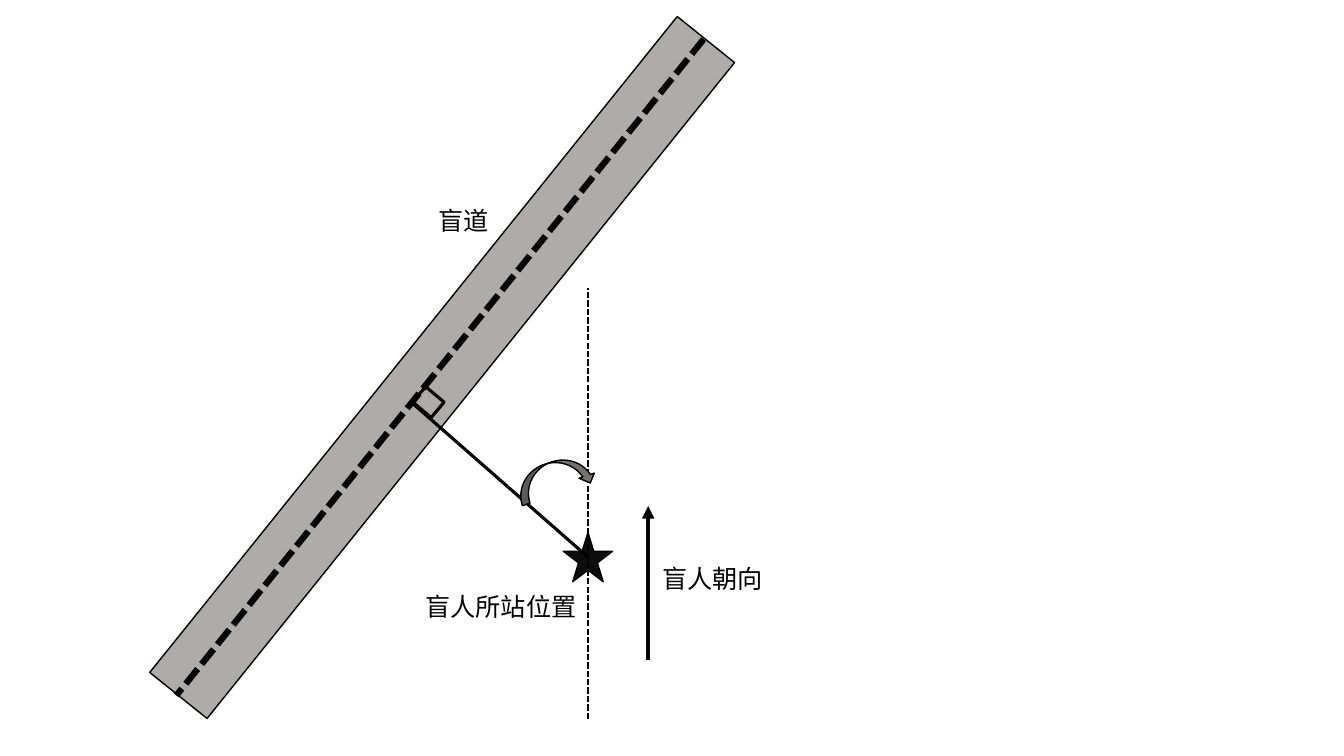
"""Build a slide showing how a blind walker's heading relates to a tactile path."""
from pptx import Presentation
from pptx.dml.color import RGBColor
from pptx.enum.dml import MSO_LINE
from pptx.enum.shapes import MSO_CONNECTOR, MSO_SHAPE
from pptx.enum.text import MSO_AUTO_SIZE as AutoSize, PP_ALIGN
from pptx.oxml.ns import qn
from pptx.util import Inches, Pt
from lxml.etree import SubElement

COLUMNS, ROWS = 40, 22.5
FONT = "Noto Sans CJK SC"
COLORS = {"ink": "000000", "path": "AFABAB", "star": "0D0D0D", "turn": "767171"}

STAND = (17.5, 16.58)
FOOT = (12.24, 11.97)
GROUND = [
    dict(kind=MSO_SHAPE.RECTANGLE, center=(13.16, 10.94), size=(2.19, 25.05),
         turn=38.8, fill="path"),
    dict(kind=MSO_SHAPE.STAR_5_POINT, center=STAND, size=(1.47, 1.47), fill="star"),
]
LINES = [
    dict(start=(STAND[0], 21.4), end=(STAND[0], 8.58), width=1.5, dashed=True),
    dict(start=(20.94, 1.17), end=(5.25, 20.7), width=4.5, dashed=True),
    dict(start=STAND, end=FOOT, width=2.25),
    dict(start=(19.29, 19.65), end=(19.29, 15.06), width=3, arrow=True),
]
ANGLES = [
    dict(kind=MSO_SHAPE.RECTANGLE, center=(12.75, FOOT[1]), size=(0.72, 0.6),
         turn=40, width=2.25),
    dict(kind=MSO_SHAPE.CURVED_DOWN_ARROW, center=(16.52, 14.22), size=(2.37, 0.96),
         turn=341.5, fill="turn"),
]
LABELS = [("盲人朝向", (21.23, 17.22)), ("盲人所站位置", (14.94, 18.06)), ("盲道", (13.82, 6.57))]

deck = Presentation()
deck.slide_width, deck.slide_height = Inches(13.33), Inches(7.5)
page = deck.slides.add_slide(deck.slide_layouts[6])


def place(point):
    return (round(deck.slide_width * point[0] / COLUMNS),
            round(deck.slide_height * point[1] / ROWS))


def frame(center, size):
    corner = [middle - length / 2 for middle, length in zip(center, size)]
    return *place(corner), *place(size)


def color(name):
    return RGBColor.from_string(COLORS[name])


def add_figure(kind, center, size, turn=0, fill=None, width=1):
    figure = page.shapes.add_shape(kind, *frame(center, size))
    figure.rotation = turn
    figure.shadow.inherit = False
    if fill:
        figure.fill.solid()
        figure.fill.fore_color.rgb = color(fill)
    else:
        figure.fill.background()
    figure.line.color.rgb = color("ink")
    figure.line.width = Pt(width)


def add_line(start, end, width, dashed=False, arrow=False):
    connector = page.shapes.add_connector(MSO_CONNECTOR.STRAIGHT, *place(start), *place(end))
    line = connector.line
    line.color.rgb = color("ink")
    line.width = Pt(width)
    if dashed:
        line.dash_style = MSO_LINE.SQUARE_DOT
    if arrow:
        SubElement(line._get_or_add_ln(), qn("a:tailEnd"), type="triangle")
    SubElement(connector._element.spPr, qn("a:effectLst"))


def add_label(text, center, size=18, ink="ink"):
    box = page.shapes.add_textbox(*frame(center, (0.6 + 0.76 * len(text), 1.2)))
    box.text_frame.word_wrap = False
    box.text_frame.auto_size = AutoSize.SHAPE_TO_FIT_TEXT
    para = box.text_frame.paragraphs[0]
    para.alignment = PP_ALIGN.LEFT
    span = para.add_run()
    span.text = text
    span.font.name = FONT
    span.font.size = Pt(size)
    span.font.color.rgb = color(ink)
    SubElement(span.font._element, qn("a:ea"), typeface=FONT)


for item in GROUND:
    add_figure(**item)
for item in LINES:
    add_line(**item)
for item in ANGLES:
    add_figure(**item)
for text, center in LABELS:
    add_label(text, center)

deck.save("out.pptx")
